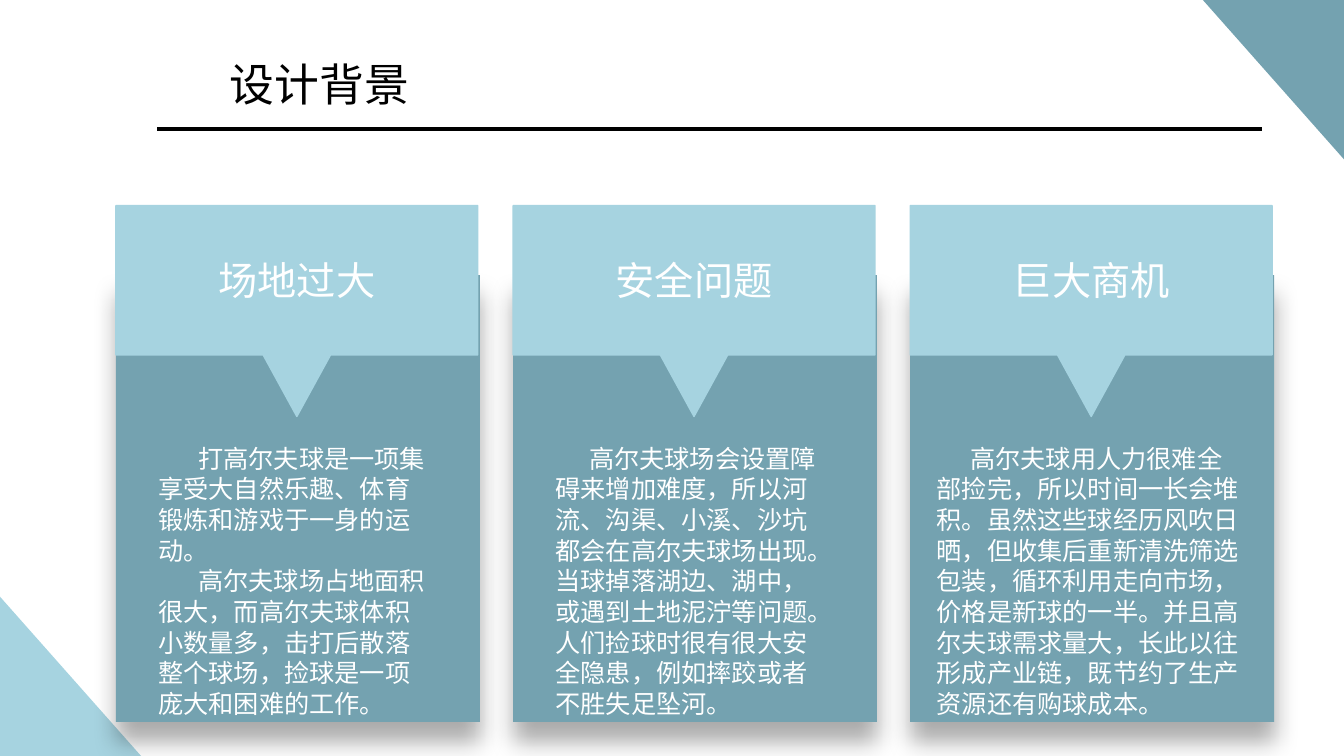
from pptx import Presentation
from pptx.dml.color import RGBColor
from pptx.enum.shapes import MSO_CONNECTOR, MSO_SHAPE
from pptx.enum.text import MSO_ANCHOR, MSO_AUTO_SIZE, PP_ALIGN
from pptx.oxml import parse_xml
from pptx.oxml.ns import nsdecls, qn
from pptx.util import Pt
from lxml import etree

BLACK = RGBColor(0, 0, 0)
WHITE = RGBColor(0xFF, 0xFF, 0xFF)
LIGHT = RGBColor(0xA6, 0xD3, 0xE0)
DARK = RGBColor(0x74, 0xA2, 0xB0)
RECT, CORNER = MSO_SHAPE.RECTANGLE, MSO_SHAPE.RIGHT_TRIANGLE
LEFT, CENTER = PP_ALIGN.LEFT, PP_ALIGN.CENTER
TOP, MIDDLE = MSO_ANCHOR.TOP, MSO_ANCHOR.MIDDLE
STRAIGHT, NO_FIT = MSO_CONNECTOR.STRAIGHT, MSO_AUTO_SIZE.NONE

WIDE, HIGH = 960, 540
CARD_X, CARD_STEP, CARD_W = 82.8, 283.7, 258.5
HEAD_Y, HEAD_H, TIP_H, TIP_W = 146.9, 106.6, 44, 48.2
BODY_Y, BODY_W, BODY_H = 196.6, 260, 319

# heading, text width, first-line indent, paragraphs
CARDS = [
    ("场地过大", 211, 28.5, [
        "打高尔夫球是一项集享受大自然乐趣、体育锻炼和游戏于一身的运动。",
        "高尔夫球场占地面积很大，而高尔夫球体积小数量多，击打后散落整个球场，"
        "捡球是一项庞大和困难的工作。"]),
    ("安全问题", 211, 24, [
        "高尔夫球场会设置障碍来增加难度，所以河流、沟渠、小溪、沙坑都会在高尔夫球场出现。"
        "当球掉落湖边、湖中，或遇到土地泥泞等问题。"
        "人们捡球时很有很大安全隐患，例如摔跤或者不胜失足坠河。"]),
    ("巨大商机", 234, 24, [
        "高尔夫球用人力很难全部捡完，所以时间一长会堆积。"
        "虽然这些球经历风吹日晒，但收集后重新清洗筛选包装，循环利用走向市场，"
        "价格是新球的一半。并且高尔夫球需求量大，长此以往形成产业链，"
        "既节约了生产资源还有购球成本。"]),
]


def write(shape, paras, size, color, align=LEFT, anchor=TOP, indent=0):
    frame = shape.text_frame
    frame.auto_size, frame.word_wrap = NO_FIT, True
    frame.vertical_anchor = anchor
    frame.text = "\n".join(paras)
    for para in frame.paragraphs:
        para.alignment = align
        para.line_spacing = Pt(round(size * 1.215, 1))
        para.space_before = Pt(0)
        if indent:
            para._p.get_or_add_pPr().set("indent", str(Pt(indent)))
        font = para.runs[0].font
        font.name, font.size, font.color.rgb = Deck.font, Pt(size), color
        east = etree.SubElement(font._element, qn("a:ea"))
        east.set("typeface", Deck.font)


class Deck:
    font = "Noto Sans CJK SC"

    def __init__(self):
        self.prs = Presentation()
        self.prs.slide_width, self.prs.slide_height = Pt(WIDE), Pt(HIGH)
        self.slide = self.prs.slides.add_slide(self.prs.slide_layouts[5])
        self.shapes = self.slide.shapes

    def title(self, text, x, y, w, h):
        box = self.slide.shapes.title
        box.left, box.top, box.width, box.height = map(Pt, (x, y, w, h))
        write(box, [text], 32, BLACK, anchor=MIDDLE)

    def rule(self, x1, x2, y):
        line = self.shapes.add_connector(STRAIGHT, Pt(x1), Pt(y), Pt(x2), Pt(y))
        line.line.color.rgb, line.line.width = BLACK, Pt(2.25)
        etree.SubElement(line._element.spPr, qn("a:effectLst"))

    def paint(self, shape, color):
        shape.shadow.inherit = False
        shape.fill.solid()
        shape.fill.fore_color.rgb = color
        shape.line.fill.background()
        return shape

    def block(self, kind, x, y, w, h, color):
        return self.paint(self.shapes.add_shape(kind, *map(Pt, (x, y, w, h))), color)

    def shade(self, shape):
        """Add a soft shadow that falls straight down."""
        glow = parse_xml(
            f'<a:outerShdw {nsdecls("a")} blurRad="{Pt(17)}" dist="{Pt(14)}" '
            'dir="5400000" algn="t" rotWithShape="0"><a:srgbClr val="000000">'
            '<a:alpha val="32000"/></a:srgbClr></a:outerShdw>')
        shape._element.spPr.find(qn("a:effectLst")).append(glow)

    def flag(self, x):
        """Draw a card's head with its tip pointing down."""
        mid, low = x + CARD_W / 2, HEAD_Y + HEAD_H
        pts = [(x + CARD_W, HEAD_Y), (x + CARD_W, low), (mid + TIP_W / 2, low),
               (mid, low + TIP_H), (mid - TIP_W / 2, low), (x, low)]
        pen = self.shapes.build_freeform(Pt(x), Pt(HEAD_Y))
        pen.add_line_segments([(Pt(a), Pt(b)) for a, b in pts], close=True)
        head = self.paint(pen.convert_to_shape(), LIGHT)
        head.line.color.rgb, head.line.width = LIGHT, Pt(1)

    def text(self, paras, x, y, w, h, size, **style):
        box = self.shapes.add_textbox(*map(Pt, (x, y, w, h)))
        write(box, paras, size, WHITE, **style)

    def card(self, x, head, width, indent, paras):
        self.shapes = self.slide.shapes.add_group_shape().shapes
        self.shade(self.block(RECT, x, BODY_Y, BODY_W, BODY_H, DARK))
        self.flag(x)
        mid = x + CARD_W / 2
        self.text([head], mid - 70, 179.3, 140, 41, 28, align=CENTER)
        self.text(paras, mid - width / 2 - 0.5, 312.5, width, 204, 18, indent=indent)
        self.shapes = self.slide.shapes


def main():
    deck = Deck()
    deck.title("设计背景", 157, 36.7, 300, 46)
    deck.rule(112.3, 901.4, 92.2)
    deck.block(CORNER, 0, 426.2, 100.8, 113.8, LIGHT)
    deck.block(CORNER, WIDE - 100.8, 0, 100.8, 113.8, DARK).rotation = 180
    for i, card in enumerate(CARDS):
        deck.card(CARD_X + i * CARD_STEP, *card)
    deck.prs.save("out.pptx")


if __name__ == "__main__":
    main()
